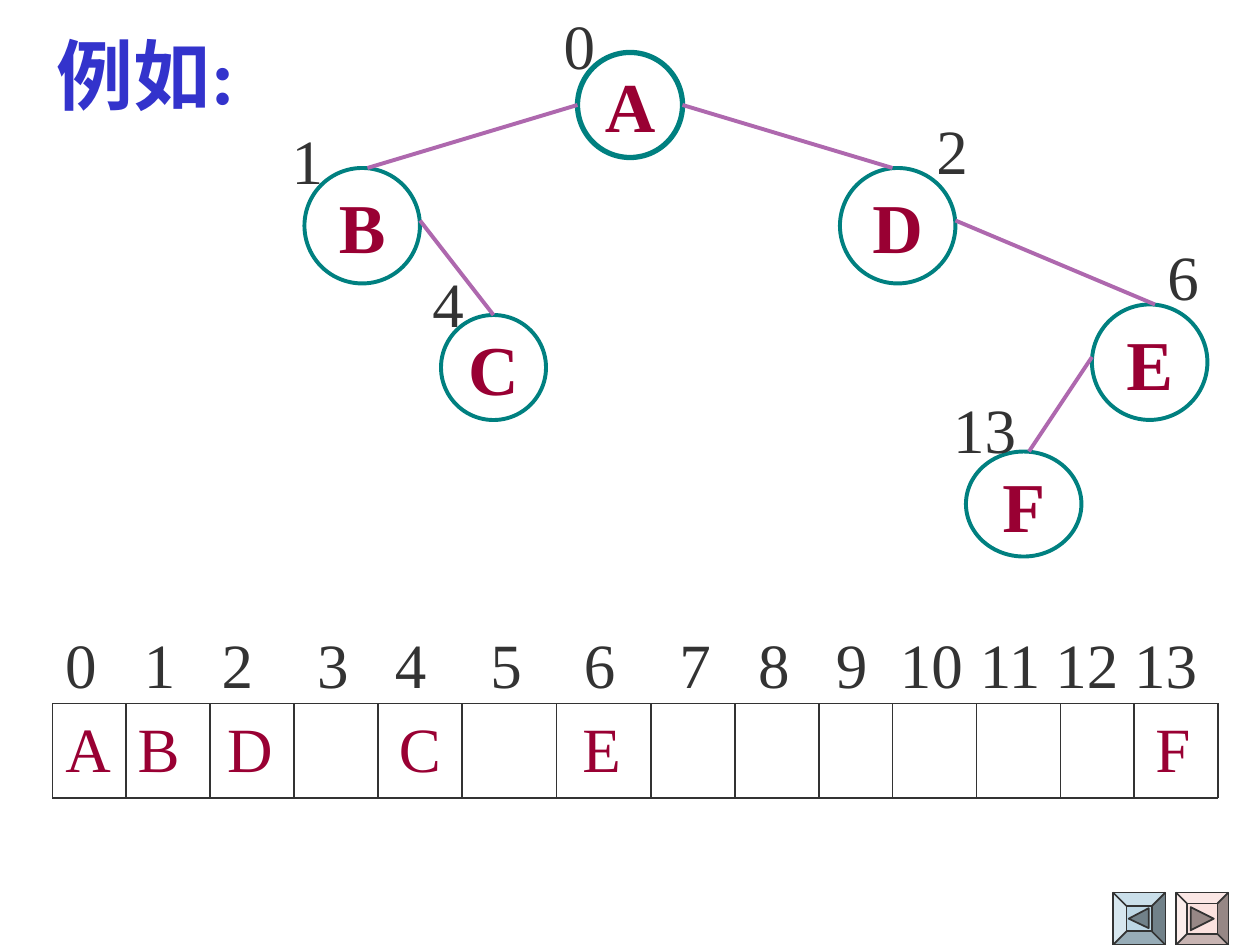
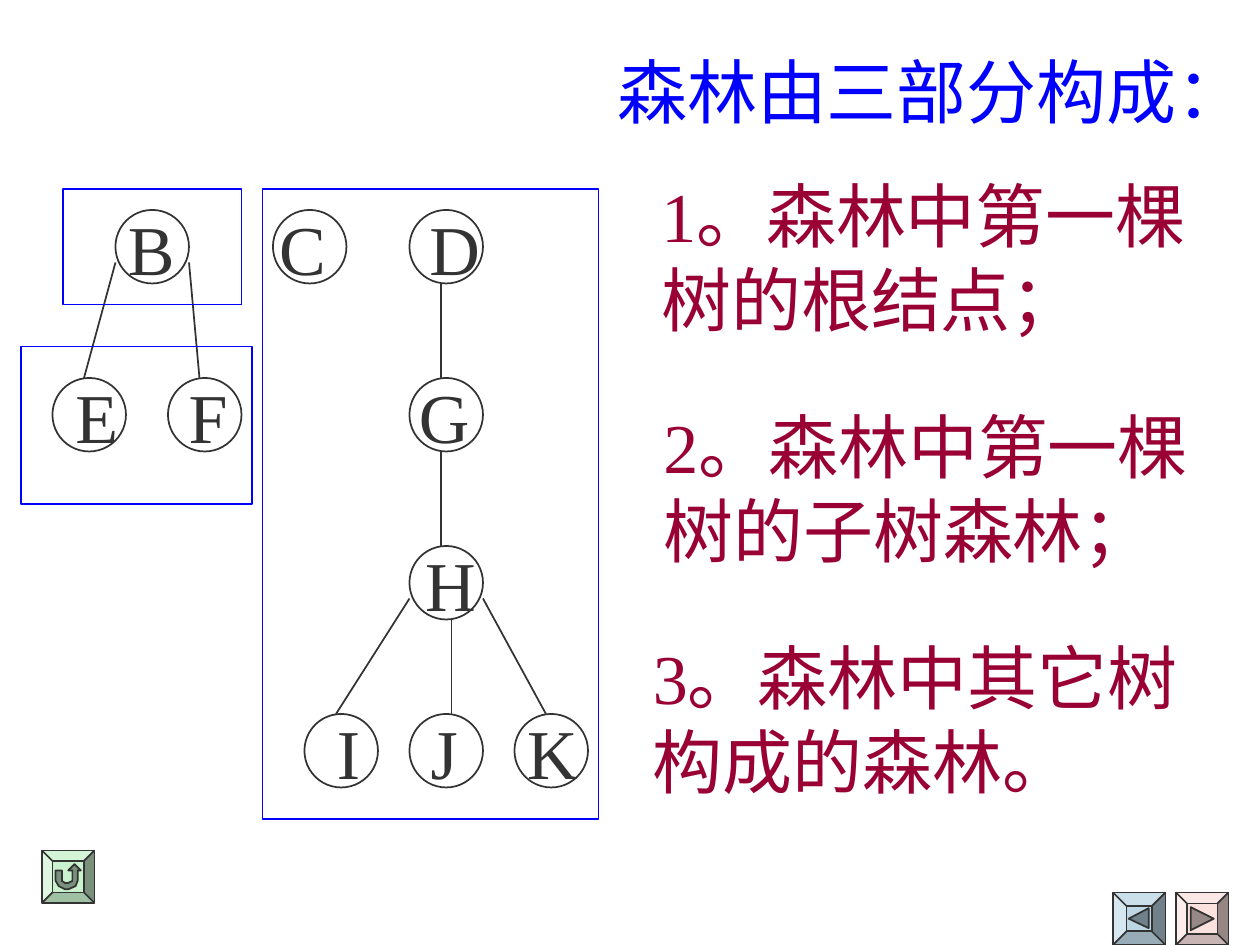
"""Build two slides on binary tree storage and the parts of a forest."""
from dataclasses import dataclass
from typing import Optional

from lxml.etree import SubElement
from pptx import Presentation
from pptx.dml.color import RGBColor
from pptx.enum.shapes import MSO_CONNECTOR, MSO_SHAPE
from pptx.enum.text import MSO_ANCHOR, PP_ALIGN
from pptx.oxml.ns import qn
from pptx.util import Emu, Pt

PX = 7620
LATIN, ASIAN = "Times New Roman", "Noto Sans CJK SC"
INK = RGBColor(0x33, 0x33, 0x33)
WHITE = RGBColor(0xFF, 0xFF, 0xFF)
CRIMSON = RGBColor(0x99, 0x00, 0x33)
TEAL = RGBColor(0x00, 0x80, 0x80)
MAUVE = RGBColor(0xAE, 0x68, 0xAE)
INDIGO = RGBColor(0x33, 0x33, 0xCC)
BLUE = RGBColor(0x00, 0x00, 0xFF)


@dataclass(frozen=True)
class Style:
    size: int
    color: RGBColor
    bold: bool = False


@dataclass(frozen=True)
class Node:
    label: str
    x: int
    y: int
    w: int
    h: int
    line: float = 2.25
    shift: int = 0


@dataclass(frozen=True)
class Label:
    text: str
    x: int
    y: int
    w: int
    h: int
    wrap: bool = False


@dataclass(frozen=True)
class Edge:
    x1: int
    y1: int
    x2: int
    y2: int


@dataclass(frozen=True)
class Button:
    x: int
    y: int
    fill: RGBColor
    icon_fill: RGBColor
    inset: float
    icon: tuple


INDEX = Style(36, INK)
CELL = Style(36, CRIMSON)
TREE_NODE = Style(40, CRIMSON, True)
FOREST_NODE = Style(40, INK)
ITEM = Style(40, CRIMSON)

PREVIOUS = Button(1060, 850, RGBColor(0xBD, 0xD7, 0xE5), RGBColor(0x71, 0x81, 0x89), 0.26,
                  ((15, 25), (34, 15), (34, 34)))
NEXT = Button(1120, 850, RGBColor(0xFB, 0xE2, 0xDF), RGBColor(0x97, 0x88, 0x86), 0.21,
              ((14, 14), (36, 25), (14, 36)))
RETURN = Button(40, 810, RGBColor(0xCA, 0xF2, 0xCE), RGBColor(0x79, 0x91, 0x7C), 0.2,
                ((13, 19), (19, 19), (19, 29), (22, 31), (25, 31), (29, 29), (29, 19), (25, 19),
                 (31, 13), (37, 19), (34, 19), (34, 29), (32, 34), (25, 37), (22, 37), (16, 34),
                 (13, 29)))

TREE = (
    Node("A", 550, 50, 100, 100, 3), Node("B", 290, 160, 110, 110), Node("C", 420, 300, 100, 100),
    Node("D", 800, 160, 110, 110), Node("E", 1040, 290, 110, 110), Node("F", 920, 430, 110, 100),
)
TREE_EDGES = (
    Edge(550, 100, 350, 160), Edge(400, 210, 470, 300), Edge(650, 100, 850, 160),
    Edge(910, 210, 1100, 290), Edge(1040, 340, 980, 430),
)
TREE_INDEXES = (
    Label("1", 266, 110, 54, 84), Label("4", 400, 246, 54, 84), Label("0", 525, 0, 54, 84),
    Label("13", 896, 366, 84, 84), Label("2", 880, 100, 54, 84), Label("6", 1100, 220, 54, 84),
)
ARRAY_TOP, ARRAY_BOTTOM = 670, 760
CELL_EDGES = (50, 120, 200, 280, 360, 440, 530, 620, 700, 780, 850, 930, 1010, 1080, 1160)
INDEX_CENTRES = (77, 152, 226, 317, 391, 482, 571, 662, 737, 811, 887, 962, 1035, 1110)
LETTER_CENTRES = {"A": 84, "B": 151, "D": 238, "C": 400, "E": 573, "F": 1117}

FOREST = tuple(Node(label, x, y, 70, 70, 1, shift) for label, x, y, shift in (
    ("B", 110, 200, -1), ("C", 260, 200, -7), ("D", 390, 200, 8),
    ("E", 50, 360, 7), ("F", 160, 360, 3), ("G", 390, 360, -2), ("H", 390, 520, 4),
    ("I", 290, 680, 7), ("J", 390, 680, -2), ("K", 490, 680, 1),
))
FOREST_EDGES = (
    Edge(110, 250, 80, 360), Edge(180, 250, 190, 360), Edge(420, 270, 420, 360),
    Edge(420, 430, 420, 520), Edge(430, 590, 430, 680), Edge(390, 570, 320, 680),
    Edge(460, 570, 520, 680),
)
FOREST_FRAMES = ((60, 180, 170, 110), (20, 330, 220, 150), (250, 180, 320, 600))
FOREST_ITEMS = (
    Label("1。森林中第一棵树的根结点；", 618, 158, 562, 173, True),
    Label("2。森林中第一棵树的子树森林；", 620, 378, 550, 173, True),
    Label("3。森林中其它树构成的森林。", 610, 598, 568, 173, True),
)


def px(*values: int) -> list:
    """Turn pixel lengths into EMU."""
    return [Emu(v * PX) for v in values]


def write(tf, text: str, style: Style, align=PP_ALIGN.LEFT) -> None:
    """Write one styled paragraph into a text frame."""
    p = tf.paragraphs[0]
    p.alignment = align
    r = p.add_run()
    r.text = text
    for key, value in {"size": Pt(style.size), "bold": style.bold, "name": LATIN}.items():
        setattr(r.font, key, value)
    r.font.color.rgb = style.color
    SubElement(r.font._element, qn("a:ea")).set("typeface", ASIAN)


def add_label(s, label: Label, style: Style, align=PP_ALIGN.LEFT) -> None:
    """Add a text box."""
    tf = s.shapes.add_textbox(*px(label.x, label.y, label.w, label.h)).text_frame
    tf.word_wrap = label.wrap
    write(tf, label.text, style, align)


def add_centred(s, text: str, centre: int, top: int, style: Style) -> None:
    """Add a short text centred on a given x."""
    add_label(s, Label(text, centre - 50, top, 100, 84), style, PP_ALIGN.CENTER)


def paint(sp, fill: Optional[RGBColor], line: RGBColor, width: float) -> None:
    """Set the fill and outline of a shape and drop its shadow."""
    sp.shadow.inherit = False
    if fill is None:
        sp.fill.background()
    else:
        sp.fill.solid()
        sp.fill.fore_color.rgb = fill
    sp.line.color.rgb = line
    sp.line.width = Pt(width)


def add_edge(s, edge: Edge, color: RGBColor, width: float, circles: tuple = ()) -> None:
    """Draw a line, joining it to a circle whose top middle it reaches."""
    c = s.shapes.add_connector(MSO_CONNECTOR.STRAIGHT, *px(edge.x1, edge.y1, edge.x2, edge.y2))
    c.line.color.rgb = color
    c.line.width = Pt(width)
    SubElement(c._element.spPr, qn("a:effectLst"))
    for sp in circles:
        if (c.end_x, c.end_y) == (sp.left + sp.width // 2, sp.top):
            c.end_connect(sp, 0)


def add_circle(s, node: Node, fill: Optional[RGBColor], line: RGBColor):
    """Draw the circle of a node."""
    sp = s.shapes.add_shape(MSO_SHAPE.OVAL, *px(node.x, node.y, node.w, node.h))
    paint(sp, fill, line, node.line)
    return sp


def add_button(s, button: Button) -> None:
    """Draw a bevelled navigation button with its icon."""
    sp = s.shapes.add_shape(MSO_SHAPE.BEVEL, *px(button.x, button.y, 50, 50))
    sp.adjustments[0] = button.inset
    paint(sp, button.fill, INK, 1)
    points = [(button.x + x, button.y + y) for x, y in button.icon]
    builder = s.shapes.build_freeform(*points[0], scale=PX)
    builder.add_line_segments(points[1:], close=True)
    paint(builder.convert_to_shape(), button.icon_fill, INK, 1)


def add_array(s) -> None:
    """Draw the ruled storage array with its letters and indexes."""
    for y in (ARRAY_TOP, ARRAY_BOTTOM):
        add_edge(s, Edge(CELL_EDGES[0], y, CELL_EDGES[-1], y), INK, 1)
    for x in CELL_EDGES:
        add_edge(s, Edge(x, ARRAY_TOP, x, ARRAY_BOTTOM), INK, 1)
    for letter, centre in LETTER_CENTRES.items():
        add_centred(s, letter, centre, ARRAY_TOP, CELL)
    for i, centre in enumerate(INDEX_CENTRES):
        add_centred(s, str(i), centre, ARRAY_TOP - 80, INDEX)


def add_slide(prs):
    """Add a blank slide with the shared navigation buttons."""
    s = prs.slides.add_slide(prs.slide_layouts[6])
    for button in (PREVIOUS, NEXT):
        add_button(s, button)
    return s


def build_tree_slide(prs) -> None:
    """Build the slide that stores a binary tree in an array."""
    s = add_slide(prs)
    add_label(s, Label("例如:", 42, 20, 212, 101), Style(44, INDIGO, True))
    circles = []
    for node in TREE:
        sp = add_circle(s, node, WHITE, TEAL)
        tf = sp.text_frame
        tf.word_wrap = False
        tf.vertical_anchor = MSO_ANCHOR.MIDDLE
        write(tf, node.label, TREE_NODE, PP_ALIGN.CENTER)
        circles.append(sp)
    add_array(s)
    for edge in TREE_EDGES:
        add_edge(s, edge, MAUVE, 2.25, tuple(circles))
    for label in TREE_INDEXES:
        add_label(s, label, INDEX)


def build_forest_slide(prs) -> None:
    """Build the slide that names the three parts of a forest."""
    s = add_slide(prs)
    for node in FOREST:
        add_centred(s, node.label, node.x + node.w // 2 + node.shift, node.y - 10, FOREST_NODE)
        add_circle(s, node, None, INK)
    for edge in FOREST_EDGES:
        add_edge(s, edge, INK, 1)
    for frame in FOREST_FRAMES:
        paint(s.shapes.add_shape(MSO_SHAPE.RECTANGLE, *px(*frame)), None, BLUE, 1)
    for item in FOREST_ITEMS:
        add_label(s, item, ITEM)
    add_label(s, Label("森林由三部分构成：", 576, 40, 623, 92), Style(40, BLUE))
    add_button(s, RETURN)


def main() -> None:
    """Build and save the presentation."""
    prs = Presentation()
    prs.slide_width, prs.slide_height = px(1200, 900)
    build_tree_slide(prs)
    build_forest_slide(prs)
    prs.save("out.pptx")


if __name__ == "__main__":
    main()
